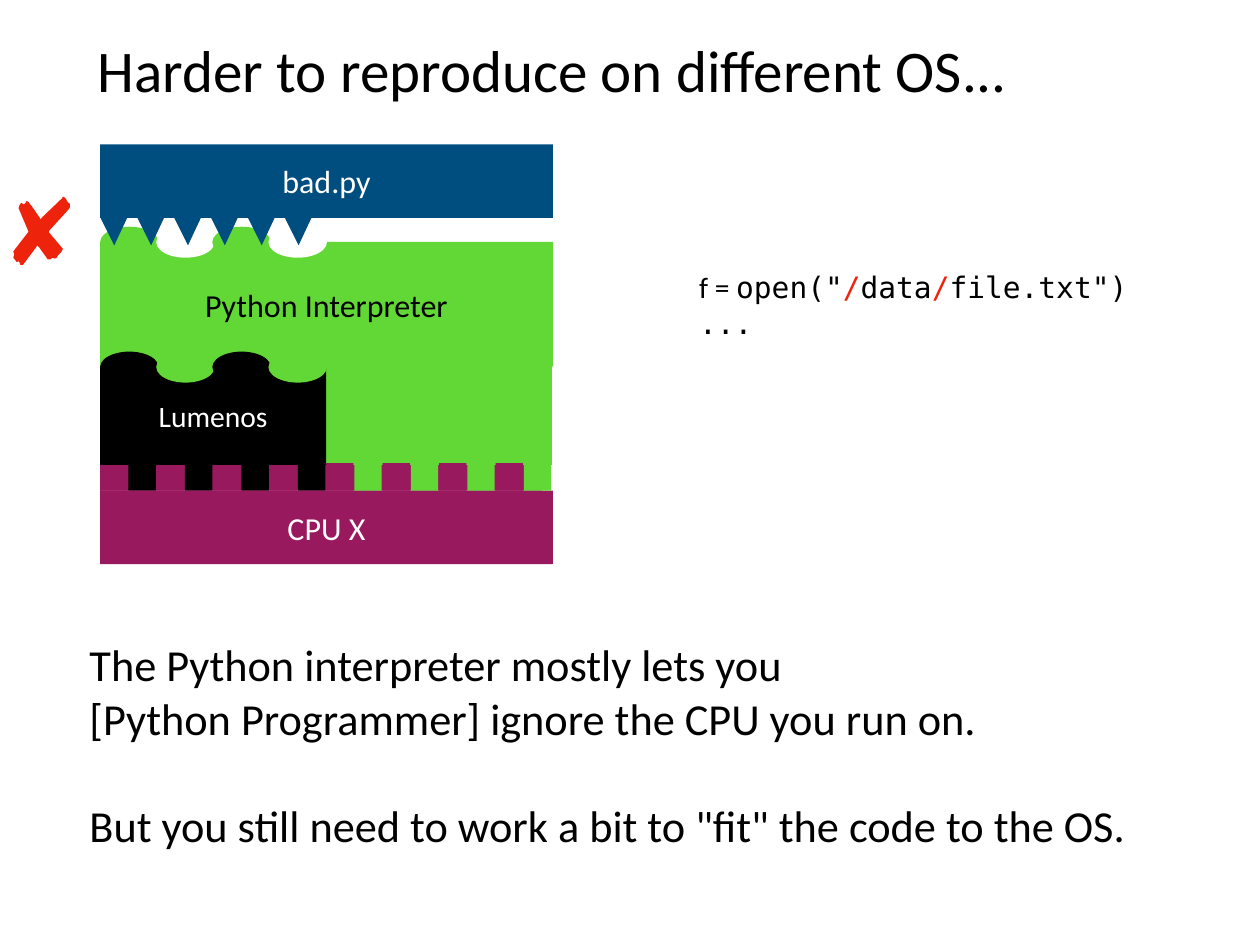
import pptx
import pptx.dml.color
import pptx.enum.shapes
import pptx.enum.text
import pptx.util
from dataclasses import dataclass

Inches = pptx.util.Inches
Pt = pptx.util.Pt
Shape = pptx.enum.shapes.MSO_SHAPE
Align = pptx.enum.text.PP_ALIGN
AutoSize = pptx.enum.text.MSO_AUTO_SIZE


@dataclass(frozen=True)
class Theme:
    font: str = "Calibri"
    mono: str = "DejaVu Sans Mono"
    title: int = 48
    body: int = 36
    label: int = 26
    small: int = 24
    black: str = "000000"
    white: str = "FFFFFF"
    script: str = "004D80"
    python: str = "61D836"
    cpu: str = "99195E"
    error: str = "EE230C"


class SlideBuilder:
    def __init__(self, prs, theme):
        self.theme = theme
        self.slide = prs.slides.add_slide(prs.slide_layouts[5])

    def run(self, paragraph, text, size, color, font=None):
        run = paragraph.add_run()
        run.text = text
        run.font.name = font or self.theme.font
        run.font.size = Pt(size)
        run.font.color.rgb = pptx.dml.color.RGBColor.from_string(color)

    def frame(self, holder, align, wrap=True, auto_size=AutoSize.NONE):
        frame = holder.text_frame
        frame.word_wrap = wrap
        frame.auto_size = auto_size
        frame.vertical_anchor = pptx.enum.text.MSO_ANCHOR.MIDDLE
        frame.margin_left = frame.margin_right = Inches(0.06)
        frame.margin_top = frame.margin_bottom = Inches(0.06)
        frame.paragraphs[0].alignment = align
        return frame

    def title(self, text, left, top, width, height):
        heading = self.slide.shapes.title
        heading.left, heading.top = Inches(left), Inches(top)
        heading.width, heading.height = Inches(width), Inches(height)
        frame = self.frame(heading, Align.LEFT)
        self.run(frame.paragraphs[0], text, self.theme.title, self.theme.black)

    def paint(self, shape, color):
        shape.shadow.inherit = False
        shape.fill.solid()
        shape.fill.fore_color.rgb = pptx.dml.color.RGBColor.from_string(color)
        shape.line.fill.background()

    def block(self, left, top, width, height, fill, kind=Shape.RECTANGLE):
        shape = self.slide.shapes.add_shape(
            kind, Inches(left), Inches(top), Inches(width), Inches(height))
        self.paint(shape, fill)
        return shape

    def layer(self, text, left, top, width, height, fill, size, color):
        frame = self.frame(self.block(left, top, width, height, fill), Align.CENTER)
        self.run(frame.paragraphs[0], text, size, color)

    def alternate(self, count, left, top, pitch, width, height, fills,
                  kind=Shape.RECTANGLE):
        for i in range(count):
            self.block(left + i * pitch, top, width, height, fills[i % 2], kind)

    def polygon(self, points, fill):
        corners = [(Inches(x), Inches(y)) for x, y in points]
        builder = self.slide.shapes.build_freeform(*corners[0])
        builder.add_line_segments(corners[1:], close=True)
        self.paint(builder.convert_to_shape(), fill)

    def text(self, paragraphs, left, top, width, height, size, wrap=True):
        box = self.slide.shapes.add_textbox(
            Inches(left), Inches(top), Inches(width), Inches(height))
        frame = self.frame(box, Align.LEFT, wrap, AutoSize.SHAPE_TO_FIT_TEXT)
        for i, (space_before, runs) in enumerate(paragraphs):
            paragraph = frame.add_paragraph() if i else frame.paragraphs[0]
            if space_before:
                paragraph.space_before = Pt(space_before)
            for text, color, font in runs:
                self.run(paragraph, text, size, color, font)


CROSS = [
    (0.71, 2.22), (0.7, 2.24), (0.47, 2.46), (0.46, 2.48), (0.45, 2.46),
    (0.36, 2.33), (0.32, 2.28), (0.3, 2.27), (0.29, 2.29), (0.27, 2.31),
    (0.24, 2.29), (0.22, 2.32), (0.21, 2.35), (0.32, 2.61), (0.32, 2.62),
    (0.15, 2.84), (0.16, 2.87), (0.16, 2.89), (0.15, 2.9), (0.15, 2.91),
    (0.19, 2.96), (0.21, 2.95), (0.22, 2.96), (0.23, 2.99), (0.25, 2.99),
    (0.26, 2.99), (0.41, 2.79), (0.42, 2.77), (0.44, 2.79), (0.54, 2.93),
    (0.57, 2.93), (0.59, 2.91), (0.62, 2.92), (0.64, 2.91), (0.65, 2.89),
    (0.67, 2.87), (0.69, 2.85), (0.71, 2.81), (0.55, 2.62), (0.56, 2.6),
    (0.77, 2.37), (0.79, 2.34), (0.79, 2.3), (0.77, 2.29), (0.75, 2.26),
    (0.75, 2.25), (0.73, 2.23),
]


def main():
    prs = pptx.Presentation()
    prs.slide_width, prs.slide_height = Inches(14.22), Inches(10.67)
    theme = Theme()
    page = SlideBuilder(prs, theme)
    page.title("Harder to reproduce on different OS...", 1.04, 0.28, 12.14, 0.99)

    left, full, half = 1.13, 5.11, 2.55
    middle = left + half
    tooth, tooth_top, tooth_pitch = 0.31, 5.23, half / 8
    os_top, os_height = 4.13, 1.12

    page.block(left, tooth_top, 4.99, tooth, theme.cpu)
    page.alternate(8, left, tooth_top, tooth_pitch, tooth, tooth,
                   (theme.cpu, theme.black))
    page.layer("CPU X", left, 5.54, full, 0.83, theme.cpu, theme.label, theme.white)
    page.block(middle, os_top, half, os_height, theme.python)
    page.layer("bad.py", left, 1.63, full, 0.83, theme.script, theme.label, theme.white)
    page.alternate(8, middle, tooth_top, tooth_pitch, tooth, tooth,
                   (theme.cpu, theme.python))
    page.layer("Lumenos", left, os_top, half, os_height, theme.black,
               theme.small, theme.white)
    page.layer("Python Interpreter", left, 2.73, full, 1.41, theme.python,
               theme.label, theme.black)
    for bump_top, fills in ((2.56, (theme.python, theme.white)),
                            (3.97, (theme.black, theme.python))):
        page.alternate(4, left, bump_top, 1.9 / 3, 0.66, 0.35, fills, Shape.OVAL)

    page.text([
        (0, [("The Python interpreter mostly lets you", theme.black, None)]),
        (0, [("[Python Programmer] ignore the CPU you run on.", theme.black, None)]),
        (44, [("But you still need to work a bit to \"fit\" the code to the OS.",
               theme.black, None)]),
    ], 0.95, 7.21, 13.17, 2.39, theme.body)
    page.text([
        (0, [("f = ", theme.black, None),
             ("open(\"", theme.black, theme.mono),
             ("/", theme.error, theme.mono),
             ("data", theme.black, theme.mono),
             ("/", theme.error, theme.mono),
             ("file.txt\")", theme.black, theme.mono)]),
        (0, [("...", theme.black, theme.mono)]),
    ], 7.83, 2.98, 4.99, 0.92, theme.small, wrap=False)

    for i in range(6):
        spike = left + i * 2.08 / 5
        page.polygon([(spike + 0.16, 2.77), (spike + 0.31, 2.45), (spike, 2.45)],
                     theme.script)
    page.polygon(CROSS, theme.error)
    prs.save("out.pptx")


if __name__ == "__main__":
    main()
